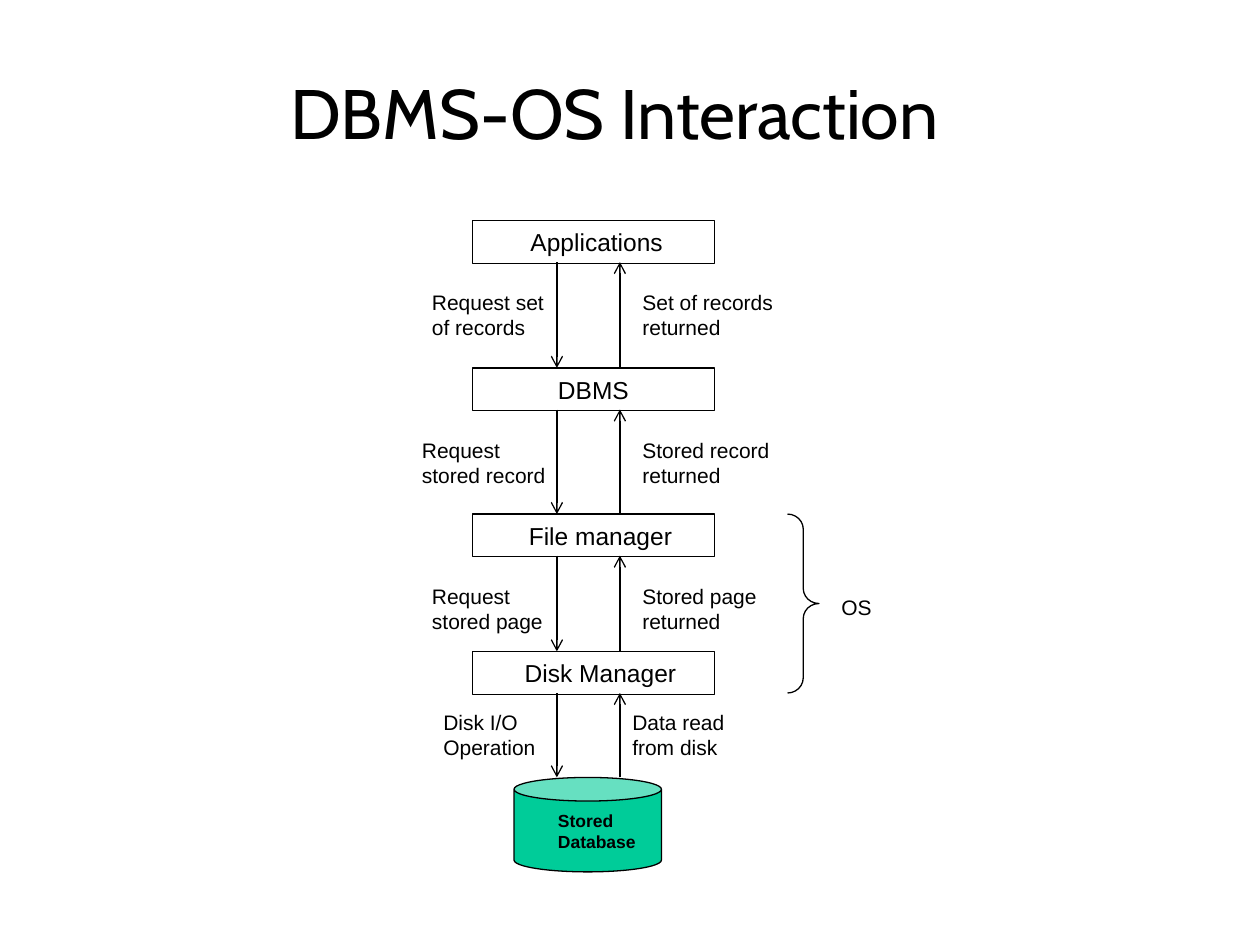
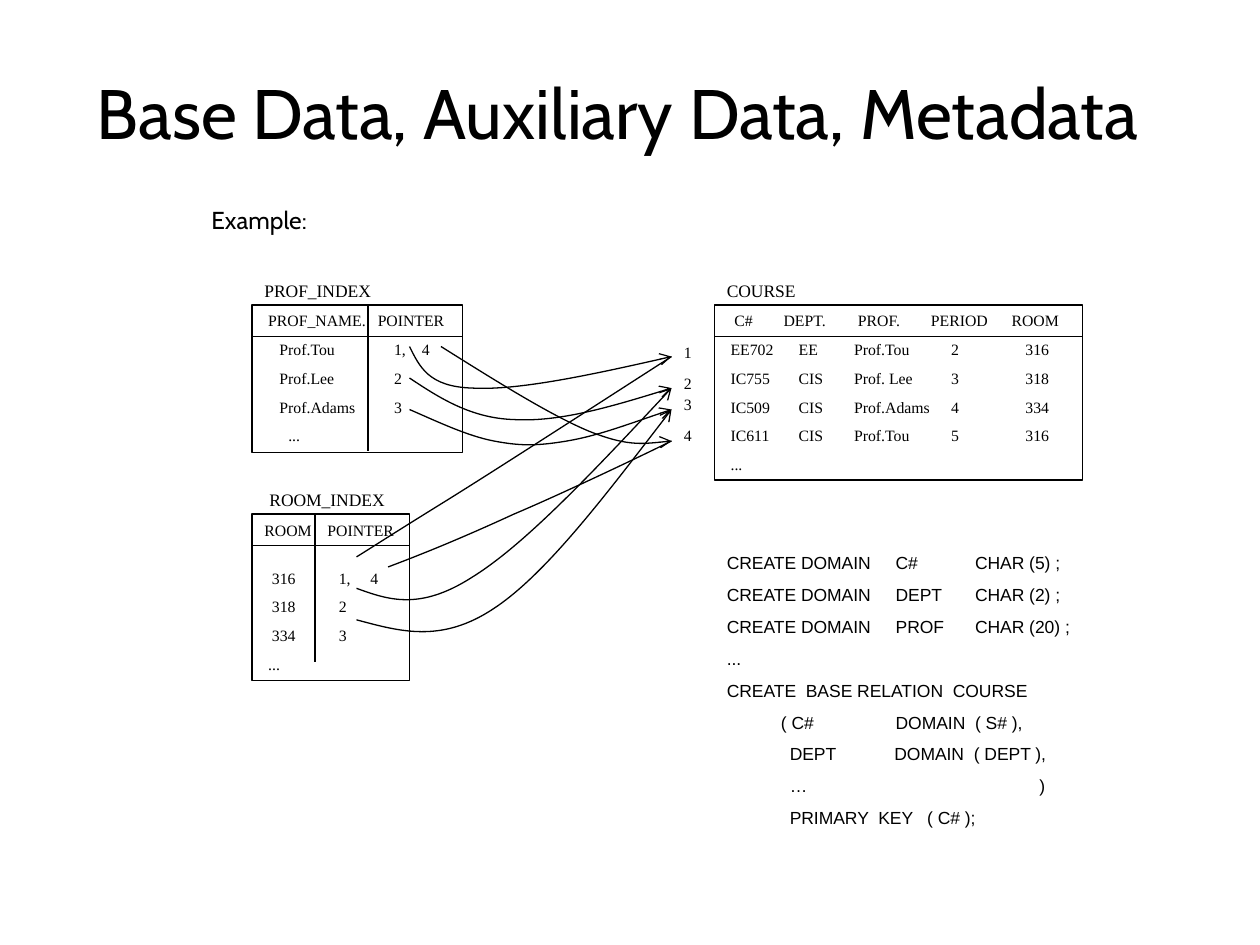
from lxml.etree import SubElement
from pptx import Presentation
from pptx.dml.color import RGBColor
from pptx.enum.shapes import MSO_CONNECTOR as Conn, MSO_SHAPE as Shape
from pptx.enum.text import MSO_ANCHOR as Anchor, PP_ALIGN as Align
from pptx.oxml.ns import qn
from pptx.util import Inches, Pt

BLACK = RGBColor(0, 0, 0)
GREEN = RGBColor(0x00, 0xCC, 0x99)
TITLE_FONT, SANS, SERIF = "Cabin", "Arial", "Times New Roman"
LINE_WIDTH = Pt(0.75)


class Deck:
    """Holds the shared style and the current slide."""

    def __init__(self, prs):
        self.prs = prs
        self.slide = None

    def new_slide(self, title, left, width, align):
        self.slide = self.prs.slides.add_slide(self.prs.slide_layouts[6])
        self.text(title, left, 0.5, width, 0.77, 40, TITLE_FONT, align)

    def style(self, p, size, font, align=Align.LEFT, bold=False):
        p.alignment = align
        p.font.size, p.font.name, p.font.bold = Pt(size), font, bold
        p.font.color.rgb = BLACK

    def textbox(self, left, top, width, height):
        sp = self.slide.shapes.add_textbox(*map(Inches, (left, top, width, height)))
        sp.text_frame.word_wrap = True
        return sp.text_frame

    def text(self, text, left, top, width, height, size, font=SANS,
             align=Align.LEFT, bold=False):
        tf = self.textbox(left, top, width, height)
        tf.text = text
        self.style(tf.paragraphs[0], size, font, align, bold)

    def tabbed_lines(self, tf, lines, size, font, space, second_space=None):
        """Each line is a pair: its tab stops in inches and its text."""
        for i, (stops, text) in enumerate(lines):
            p = tf.paragraphs[0] if i == 0 else tf.add_paragraph()
            p.text = text
            p.space_before = Pt(second_space if second_space and i == 1 else space)
            tabs = SubElement(p._p.get_or_add_pPr(), qn("a:tabLst"))
            for stop in stops:
                SubElement(tabs, qn("a:tab"), pos=str(Inches(stop)), algn="l")
            self.style(p, size, font)

    def outline(self, sp, arrow=False):
        sp.line.color.rgb = BLACK
        sp.line.width = LINE_WIDTH
        if arrow:
            SubElement(sp.line._get_or_add_ln(), qn("a:tailEnd"), type="arrow")

    def shape(self, kind, left, top, width, height, fill=None):
        sp = self.slide.shapes.add_shape(kind, *map(Inches, (left, top, width, height)))
        sp.shadow.inherit = False
        if fill is None:
            sp.fill.background()
        else:
            sp.fill.solid()
            sp.fill.fore_color.rgb = fill
        self.outline(sp)
        return sp

    def box(self, text, left, top, width, height, nudge):
        """Outlined box; nudge moves the centred label to the right."""
        sp = self.shape(Shape.RECTANGLE, left, top, width, height)
        tf = sp.text_frame
        tf.margin_left = Inches(0.1 + nudge)
        tf.text = text
        self.style(tf.paragraphs[0], 14, SANS, Align.CENTER)

    def line(self, x1, y1, x2, y2, arrow=False):
        cx = self.slide.shapes.add_connector(
            Conn.STRAIGHT, *map(Inches, (x1, y1, x2, y2)))
        SubElement(cx._element.spPr, qn("a:effectLst"))
        self.outline(cx, arrow)

    def curve(self, points, arrow=True):
        """Smooth line through cubic segments: a start, then triples."""
        start, *rest = [tuple(map(Inches, pt)) for pt in points]
        builder = self.slide.shapes.build_freeform(*start)
        builder.add_line_segments(rest, close=False)
        sp = builder.convert_to_shape()
        # Turn every three straight segments into one cubic
        outline = next(sp._element.iter(qn("a:path")))
        segments = outline.findall(qn("a:lnTo"))
        for i in range(0, len(segments), 3):
            cubic = SubElement(outline, qn("a:cubicBezTo"))
            for segment in segments[i:i + 3]:
                cubic.append(segment[0])
                outline.remove(segment)
        sp.shadow.inherit = False
        sp.fill.background()
        self.outline(sp, arrow)

    def listing(self, name, name_left, name_width, left, top, width, height,
                lines, first_space=None):
        """Named frame with a ruled header line and tabbed rows."""
        sp = self.shape(Shape.RECTANGLE, left, top, width, height)
        tf = sp.text_frame
        tf.vertical_anchor = Anchor.TOP
        self.tabbed_lines(tf, lines, 9, SERIF, 5.6, first_space)
        self.line(left, top + 0.25, left + width, top + 0.25)
        self.text(name, name_left, top - 0.25, name_width, 0.27, 10, SERIF)


def interaction_slide(deck):
    deck.new_slide("DBMS-OS Interaction", 1, 7.75, Align.CENTER)

    # Layers, top to bottom, above the database
    layers = [("Applications", 1.75, 0.05), ("DBMS", 2.92, 0),
              ("File manager", 4.08, 0.11), ("Disk Manager", 5.17, 0.11)]
    box_h, can_top = 0.34, 6.17
    for name, top, nudge in layers:
        deck.box(name, 3.75, top, 1.92, box_h, nudge)
    deck.shape(Shape.CAN, 4.08, can_top, 1.17, 0.75, GREEN)
    deck.text("Stored Database", 4.33, 6.38, 1.01, 0.44, 10, bold=True)

    # Requests go down, results come back up
    tops = [top for _, top, _ in layers] + [can_top]
    for upper, lower in zip(tops, tops[1:]):
        bottom = upper + box_h - 0.01
        deck.line(4.42, bottom, 4.42, lower, arrow=True)
        deck.line(4.92, lower, 4.92, bottom, arrow=True)
    labels = [
        ("Request set of records", 3.33, 2.25, 1.17),
        ("Set of records returned", 5, 2.25, 1.25),
        ("Request stored record", 3.25, 3.42, 1.25),
        ("Stored record returned", 5, 3.42, 1.25),
        ("Request stored page", 3.33, 4.58, 1.08),
        ("Stored page returned", 5, 4.58, 1.17),
        ("Disk I/O Operation", 3.42, 5.58, 1.08),
        ("Data read from disk", 4.92, 5.58, 1),
    ]
    for label, left, top, width in labels:
        deck.text(label, left, top, width, 0.5, 12)

    # Part handled by the operating system
    brace = deck.shape(Shape.RIGHT_BRACE, 6.25, 4.08, 0.25, 1.42)
    brace.adjustments[0] = 0.48
    deck.text("OS", 6.58, 4.67, 0.5, 0.3, 12)


def metadata_slide(deck):
    deck.new_slide("Base Data, Auxiliary Data, Metadata", 0.67, 9.08, Align.LEFT)
    deck.text("Example:", 1.58, 1.58, 2, 0.34, 14, TITLE_FONT)

    # Base data
    course = (0.03, 0.57, 1.01, 1.78, 2.37)
    deck.listing("COURSE", 5.67, 0.76, 5.67, 2.42, 2.92, 1.39, [
        ((0.06, 0.45, 1.04, 1.62, 2.26), "\tC#\tDEPT.\tPROF.\tPERIOD\tROOM"),
        (course, "\tEE702\tEE\tProf.Tou\t2\t316"),
        (course, "\tIC755\tCIS\tProf. Lee\t3\t318"),
        (course, "\tIC509\tCIS\tProf.Adams\t4\t334"),
        (course, "\tIC611\tCIS\tProf.Tou\t5\t316"),
        (course, "\t..."),
    ])

    # Indexes, each with a rule between value and pointer
    prof = (0.12, 1.03, 1.25)
    deck.listing("PROF_INDEX", 2, 1.06, 2, 2.42, 1.67, 1.17, [
        ((0.03, 0.9), "\tPROF_NAME.\tPOINTER"),
        (prof, "\tProf.Tou\t1,\t4"),
        (prof, "\tProf.Lee\t2"),
        (prof, "\tProf.Adams\t3"),
        ((0.19,), "\t..."),
    ])
    deck.line(2.92, 2.42, 2.92, 3.58)
    room = (0.06, 0.59, 0.84)
    deck.listing("ROOM_INDEX", 2.04, 1.17, 2, 4.08, 1.25, 1.32, [
        ((0.5,), "ROOM\tPOINTER"),
        (room, "\t316\t1,\t4"),
        (room, "\t318\t2"),
        (room, "\t334\t3"),
        ((0.03,), "\t..."),
    ], first_space=16.7)
    deck.line(2.5, 4.08, 2.5, 5.25)

    # Record numbers the pointers lead to
    for number, top in enumerate((2.67, 2.92, 3.08, 3.33), start=1):
        deck.text(str(number), 5.33, top, 0.25, 0.25, 9, SERIF)
    rec1, rec2, rec3, rec4 = [(5.33, y) for y in (2.83, 3.08, 3.25, 3.5)]

    # Pointers from PROF_INDEX
    deck.curve([(3.25, 2.75), (3.33, 2.91), (3.4, 3.07), (3.75, 3.08),
                (4.1, 3.1), (4.72, 2.97), rec1])
    deck.curve([(3.5, 2.75), (3.93, 3.02), (4.36, 3.29), (4.67, 3.42),
                (4.97, 3.54), (5.15, 3.52), rec4])
    deck.curve([(3.25, 3), (3.49, 3.16), (3.74, 3.32), (4.08, 3.33),
                (4.43, 3.35), (4.88, 3.22), rec2])
    deck.curve([(3.25, 3.25), (3.48, 3.35), (3.71, 3.46), (3.92, 3.5),
                (4.13, 3.54), (4.26, 3.54), (4.5, 3.5),
                (4.74, 3.46), (5.03, 3.35), rec3])

    # Pointers from ROOM_INDEX
    deck.curve([(2.83, 4.42), (2.96, 4.34), (3.08, 4.26), (3.5, 4),
                (3.92, 3.74), (4.63, 3.28), rec1], arrow=False)
    deck.curve([(3.08, 4.5), (3.4, 4.38), (3.71, 4.25), (4.08, 4.08),
                (4.46, 3.92), (5.13, 3.6), rec4], arrow=False)
    deck.curve([(2.83, 4.67), (3.08, 4.76), (3.33, 4.85), (3.75, 4.58),
                (4.17, 4.32), (4.75, 3.7), rec2])
    deck.curve([(2.83, 4.92), (3.17, 5.01), (3.5, 5.11), (3.92, 4.83),
                (4.33, 4.56), (4.83, 3.9), rec3])

    # Metadata definitions
    domain = (1.34, 1.97)
    tf = deck.textbox(5.67, 4.33, 3.17, 2.55)
    deck.tabbed_lines(tf, [
        (domain, "CREATE DOMAIN\tC#\tCHAR (5) ;"),
        (domain, "CREATE DOMAIN\tDEPT\tCHAR (2) ;"),
        (domain, "CREATE DOMAIN\tPROF\tCHAR (20) ;"),
        ((), "..."),
        ((), "CREATE  BASE RELATION  COURSE"),
        ((0.43, 1.34), "\t( C#\tDOMAIN  ( S# ),"),
        ((0.5, 1.33), "\tDEPT\tDOMAIN  ( DEPT ),"),
        ((0.5, 2.48), "\t…\t)"),
        ((0.5, 1.59), "\tPRIMARY  KEY\t( C# );"),
    ], 10, SANS, 6.25)


def main():
    prs = Presentation()
    prs.slide_width, prs.slide_height = Inches(10), Inches(7.5)
    deck = Deck(prs)
    interaction_slide(deck)
    metadata_slide(deck)
    prs.save("out.pptx")


if __name__ == "__main__":
    main()
